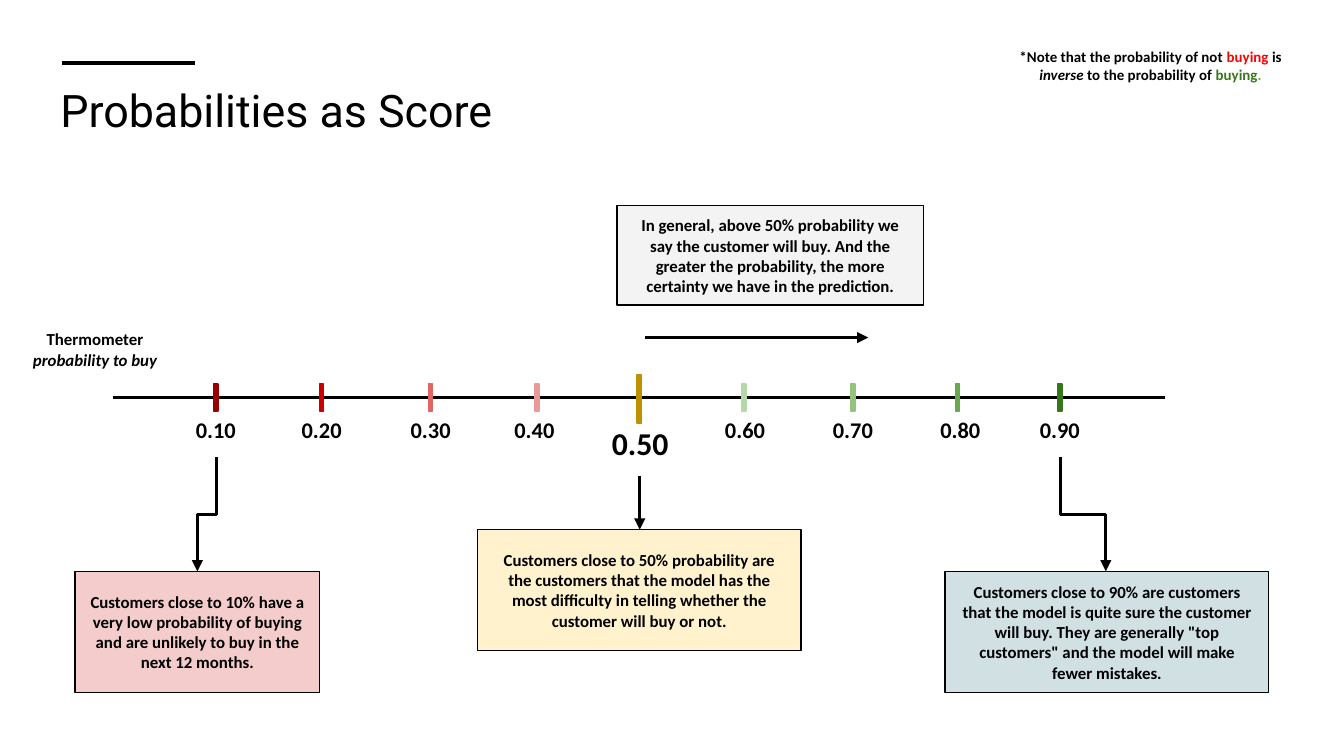
from dataclasses import dataclass

from lxml.etree import SubElement
from pptx import Presentation
from pptx.dml.color import RGBColor
from pptx.enum.shapes import MSO_CONNECTOR, MSO_SHAPE
from pptx.enum.text import MSO_ANCHOR, MSO_AUTO_SIZE, PP_ALIGN
from pptx.oxml.ns import qn
from pptx.util import Cm, Pt


@dataclass(frozen=True)
class Theme:
    ink: str = "000000"
    red: str = "FF0000"
    green: str = "38761D"
    lime: str = "6AA84F"
    gray: str = "F3F3F3"
    cream: str = "FFF2CC"
    blue: str = "D0E0E3"
    pink: str = "F4CCCC"
    head: str = "Roboto"
    body: str = "Calibri"
    title: int = 24
    mid: int = 17
    label: int = 12
    text: int = 9
    note: int = 8


THEME = Theme()
AXIS = 7.52

TICKS = [
    ("0.10", 4.08, 4.08, "990000"),
    ("0.20", 6.08, 6.08, "CC0000"),
    ("0.30", 8.14, 8.14, "E06666"),
    ("0.40", 10.15, 10.1, "EA9999"),
    ("0.50", 12.08, 12.1, "BF9000"),
    ("0.60", 14.06, 14.08, "B6D7A8"),
    ("0.70", 16.12, 16.12, "93C47D"),
    ("0.80", 18.1, 18.15, "6AA84F"),
    ("0.90", 20.03, 20.03, "38761D"),
]

BOXES = [
    (11.66, 3.89, 5.79, 1.88, THEME.gray,
     "In general, above 50% probability we say the customer will buy. "
     "And the greater the probability, the more certainty we have in the prediction."),
    (9.02, 10.01, 6.12, 2.29, THEME.cream,
     "Customers close to 50% probability are the customers that the model "
     "has the most difficulty in telling whether the customer will buy or not."),
    (17.86, 10.8, 6.12, 2.29, THEME.blue,
     "Customers close to 90% are customers that the model is quite sure the "
     "customer will buy. They are generally \"top customers\" and the model "
     "will make fewer mistakes."),
    (1.42, 10.8, 4.62, 2.29, THEME.pink,
     "Customers close to 10% have a very low probability of buying and are "
     "unlikely to buy in the next 12 months."),
]

NOTE = [
    ("*Note that the probability of not ", THEME.ink, False),
    ("buying", THEME.red, False),
    (" is ", THEME.ink, False),
    ("inverse", THEME.ink, True),
    (" to the probability of ", THEME.ink, False),
    ("buying", THEME.green, False),
    (".", THEME.lime, False),
]


def style(run, size, face=THEME.body, color=THEME.ink, bold=True, italic=False):
    font = run.font
    font.name, font.size = face, Pt(size)
    font.bold, font.italic = bold, italic
    font.color.rgb = RGBColor.from_string(color)


def set_frame(frame, anchor):
    frame.word_wrap = True
    frame.auto_size = MSO_AUTO_SIZE.NONE
    frame.vertical_anchor = anchor
    frame.margin_left = frame.margin_right = Cm(0.25)
    frame.margin_top = frame.margin_bottom = Cm(0.25)


def set_text(frame, text, size, anchor=MSO_ANCHOR.TOP):
    set_frame(frame, anchor)
    frame.text = text
    for para in frame.paragraphs:
        para.alignment = PP_ALIGN.CENTER
        for run in para.runs:
            style(run, size)


def add_title(slide, text):
    title = slide.shapes.title
    title.left, title.top = Cm(0.89), Cm(1.4)
    title.width, title.height = Cm(22.38), Cm(1.35)
    set_frame(title.text_frame, MSO_ANCHOR.MIDDLE)
    title.text_frame.text = text
    para = title.text_frame.paragraphs[0]
    para.alignment = PP_ALIGN.LEFT
    style(para.runs[0], THEME.title, THEME.head, bold=False)


def add_label(slide, left, top, width, height, text, size):
    box = slide.shapes.add_textbox(Cm(left), Cm(top), Cm(width), Cm(height))
    set_text(box.text_frame, text, size)
    return box.text_frame


def add_note(slide):
    frame = add_label(slide, 18.85, 0.51, 5.79, 1.45, "", THEME.note)
    frame.vertical_anchor = MSO_ANCHOR.MIDDLE
    para = frame.paragraphs[0]
    for text, color, italic in NOTE:
        run = para.add_run()
        run.text = text
        style(run, THEME.note, color=color, italic=italic)


def add_rect(slide, left, top, width, height, fill, edge):
    rect = slide.shapes.add_shape(
        MSO_SHAPE.RECTANGLE, Cm(left), Cm(top), Cm(width), Cm(height))
    rect.shadow.inherit = False
    rect.fill.solid()
    rect.fill.fore_color.rgb = RGBColor.from_string(fill)
    rect.line.color.rgb = RGBColor.from_string(edge)
    rect.line.width = Pt(0.75)
    return rect


def add_line(slide, x1, y1, x2, y2, width=1.5, arrow=False,
             kind=MSO_CONNECTOR.STRAIGHT):
    line = slide.shapes.add_connector(kind, Cm(x1), Cm(y1), Cm(x2), Cm(y2))
    line.line.color.rgb = RGBColor.from_string(THEME.ink)
    line.line.width = Pt(width)
    if arrow:
        SubElement(line.line._get_or_add_ln(), qn("a:tailEnd"), type="triangle")
    SubElement(line._element.spPr, qn("a:effectLst"))
    return line


def add_elbow(slide, x1, y1, x2, y2):
    side = 1 if x2 > x1 else -1
    mid_x, mid_y = (x1 + x2) / 2, (y1 + y2) / 2
    run, rise = side * (y2 - y1) / 2, abs(x2 - x1) / 2
    line = add_line(slide, mid_x + run, mid_y - rise, mid_x - run, mid_y + rise,
                    arrow=True, kind=MSO_CONNECTOR.ELBOW)
    turn = 270 if side > 0 else 90
    line._element.spPr.find(qn("a:xfrm")).set("rot", str(turn * 60000))


def add_scale(slide):
    add_line(slide, 2.13, AXIS, 22.02, AXIS)
    for text, tick, center, color in TICKS:
        main = text == "0.50"
        top, tall = (7.09, 0.91) if main else (7.26, 0.51)
        add_rect(slide, tick - 0.04, top, 0.08, tall, color, color)
        width, high = (1.75, 1.24) if main else (1.4, 1.02)
        add_label(slide, center - width / 2, 7.77 if main else 7.62, width, high,
                  text, THEME.mid if main else THEME.label)


def main():
    deck = Presentation()
    deck.slide_width, deck.slide_height = Cm(25.4), Cm(14.29)
    slide = deck.slides.add_slide(deck.slide_layouts[5])
    add_title(slide, "Probabilities as Score")
    add_line(slide, 1.17, 1.19, 3.68, 1.19, 2.25)
    add_scale(slide)
    add_line(slide, 12.19, 6.38, 16.41, 6.38, arrow=True)
    for left, top, width, height, fill, text in BOXES:
        box = add_rect(slide, left, top, width, height, fill, THEME.ink)
        set_text(box.text_frame, text, THEME.text, MSO_ANCHOR.MIDDLE)
    add_elbow(slide, 4.09, 8.64, 3.73, 10.8)
    add_elbow(slide, 20.04, 8.64, 20.9, 10.8)
    add_line(slide, 12.09, 8.99, 12.09, 10.01, arrow=True)
    frame = add_label(slide, -0.15, 5.97, 3.89, 1.27,
                      "Thermometer\nprobability to buy", THEME.text)
    frame.paragraphs[1].runs[0].font.italic = True
    add_note(slide)
    deck.save("out.pptx")


if __name__ == "__main__":
    main()
